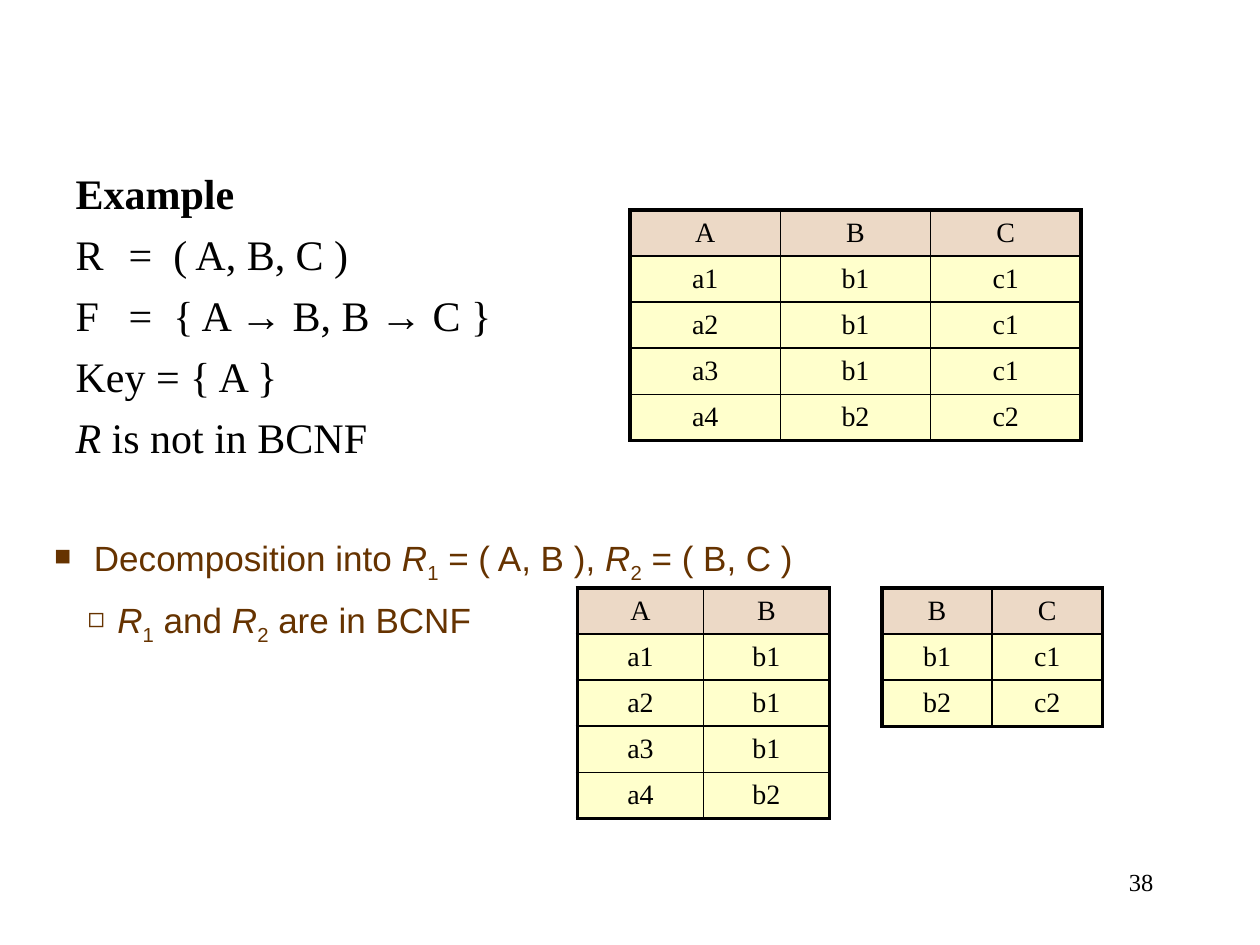
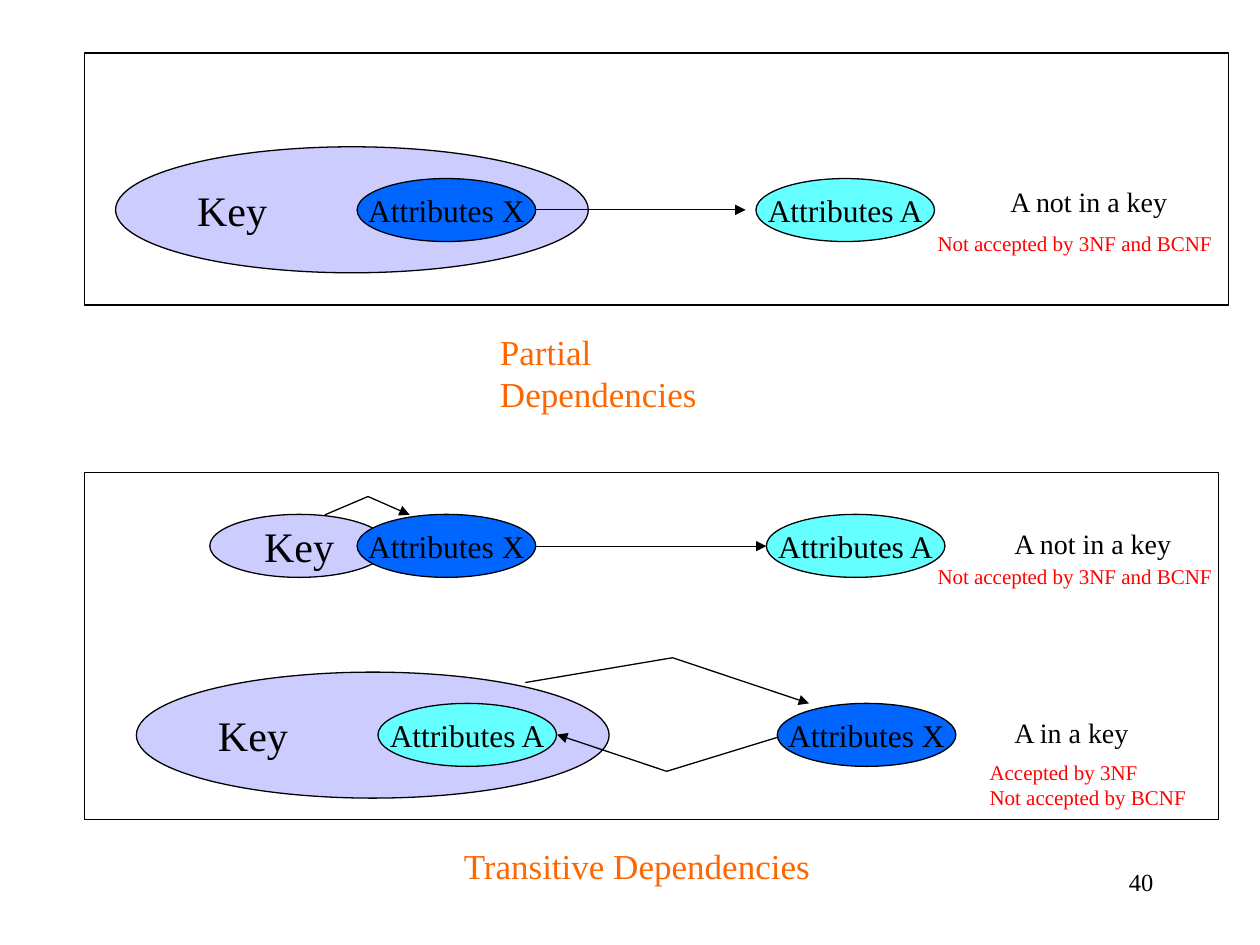
from dataclasses import dataclass

from lxml import etree
from pptx import Presentation
from pptx.dml.color import RGBColor
from pptx.enum.shapes import MSO_CONNECTOR, MSO_SHAPE
from pptx.enum.text import MSO_ANCHOR, MSO_AUTO_SIZE, PP_ALIGN
from pptx.oxml.ns import qn
from pptx.util import Cm, Pt

LEFT, MID, RIGHT = PP_ALIGN.LEFT, PP_ALIGN.CENTER, PP_ALIGN.RIGHT
TOP, CENTRE = MSO_ANCHOR.TOP, MSO_ANCHOR.MIDDLE
OVAL, RECT = MSO_SHAPE.OVAL, MSO_SHAPE.RECTANGLE
STRAIGHT = MSO_CONNECTOR.STRAIGHT
NO_FIT = MSO_AUTO_SIZE.NONE

SERIF, SANS = "Times New Roman", "Arial"
BLACK, BROWN, ORANGE, RED = "000000", "663300", "FF6600", "FF0000"
LILAC, BLUE, AQUA = "CCCCFF", "0066FF", "66FFFF"
HEAD, BODY = "ECD9C6", "FFFFCC"
THIN, THICK, HAIR = 1, 2.25, 0.75
ROW = 0.93


@dataclass
class Run:
    text: str
    bold: bool = False
    slant: bool = False
    sub: bool = False


@dataclass
class Line:
    runs: list
    left: float = 0
    hang: float = 0
    mark: str = ""
    level: int = 0


@dataclass
class Grid:
    x: float
    y: float
    col: float
    rows: list


@dataclass
class Bubble:
    x: float
    y: float
    text: str
    fill: str
    w: float = 3.6
    h: float = 1.27
    size: int = 18
    align: PP_ALIGN = MID


@dataclass
class Label:
    x: float
    y: float
    w: float
    h: float
    text: str
    size: int
    color: str = BLACK


@dataclass
class Path:
    points: list
    end: str = "tailEnd"


def paint(code: str) -> RGBColor:
    return RGBColor.from_string(code)


def add_sub(node, tag: str, **attrs):
    return etree.SubElement(node, qn(tag), attrs)


# Text
def set_mark(para, line: Line, color: str) -> None:
    props = para._p.get_or_add_pPr()
    props.set("marL", str(Cm(line.left)))
    props.set("indent", str(Cm(-line.hang)))
    if not line.mark:
        add_sub(props, "a:buNone")
        return
    add_sub(add_sub(props, "a:buClr"), "a:srgbClr", val=color)
    add_sub(props, "a:buSzPct", val="80000")
    add_sub(props, "a:buFont", typeface=SANS)
    add_sub(props, "a:buChar", char=line.mark)


def write(frame, text, size: float = 18, color: str = BLACK, font: str = SERIF,
          align=LEFT, anchor=TOP, wrap: bool = True, gap: float = 0,
          space: float = 1) -> None:
    """Fill a frame from a string, one paragraph a line, or a list of Line."""
    if isinstance(text, str):
        text = [Line([Run(part)]) for part in text.split("\n")]
    frame.word_wrap = wrap
    frame.vertical_anchor = anchor
    for num, line in enumerate(text):
        para = frame.add_paragraph() if num else frame.paragraphs[0]
        set_mark(para, line, color)
        para.level = line.level
        para.alignment = align
        para.line_spacing = space
        para.space_before = Pt(gap if num else 0)
        for item in line.runs:
            run = para.add_run()
            run.text = item.text
            run.font.name = font
            run.font.size = Pt(size)
            run.font.bold = item.bold
            run.font.italic = item.slant
            run.font.color.rgb = paint(color)
            if item.sub:
                run._r.get_or_add_rPr().set("baseline", "-25000")


def add_label(slide, item: Label, **style) -> None:
    box = slide.shapes.add_textbox(Cm(item.x), Cm(item.y), Cm(item.w), Cm(item.h))
    write(box.text_frame, item.text, size=item.size, color=item.color, **style)


def add_page(slide, num: int) -> None:
    add_label(slide, Label(18.2, 17.35, 5.3, 1.27, str(num), 14), align=RIGHT)


def fill_body(hold, x: float, y: float, w: float, h: float, lines: list,
              **style) -> None:
    hold.left, hold.top, hold.width, hold.height = Cm(x), Cm(y), Cm(w), Cm(h)
    hold.text_frame.auto_size = NO_FIT
    write(hold.text_frame, lines, **style)


# Tables
def set_edge(cell, side: str, width: float) -> None:
    edge = add_sub(cell._tc.get_or_add_tcPr(), "a:ln" + side, w=str(Pt(width)))
    add_sub(add_sub(edge, "a:solidFill"), "a:srgbClr", val=BLACK)


def add_grid(slide, grid: Grid) -> None:
    high, wide = len(grid.rows), len(grid.rows[0])
    table = slide.shapes.add_table(high, wide, Cm(grid.x), Cm(grid.y),
                                   Cm(grid.col * wide), Cm(ROW * high)).table
    table.first_row = table.horz_banding = False
    for r, row in enumerate(grid.rows):
        for c, word in enumerate(row):
            cell = table.cell(r, c)
            outer = {"L": c == 0, "R": c == wide - 1, "T": r == 0, "B": r == high - 1}
            for side, rim in outer.items():
                set_edge(cell, side, THICK if rim else THIN)
            cell.fill.solid()
            cell.fill.fore_color.rgb = paint(BODY if r else HEAD)
            cell.vertical_anchor = CENTRE
            write(cell.text_frame, word, size=16, align=MID, anchor=CENTRE)


# Shapes and arrows
def add_form(slide, kind, x: float, y: float, w: float, h: float, fill: str = ""):
    form = slide.shapes.add_shape(kind, Cm(x), Cm(y), Cm(w), Cm(h))
    form.shadow.inherit = False
    if fill:
        form.fill.solid()
        form.fill.fore_color.rgb = paint(fill)
    else:
        form.fill.background()
    form.line.color.rgb = paint(BLACK)
    form.line.width = Pt(HAIR)
    return form


def add_bubble(slide, item: Bubble) -> None:
    form = add_form(slide, OVAL, item.x, item.y, item.w, item.h, item.fill)
    write(form.text_frame, item.text, size=item.size, align=item.align,
          anchor=CENTRE, wrap=item.align == LEFT)


def add_path(slide, path: Path) -> None:
    spots = [(Cm(x), Cm(y)) for x, y in path.points]
    if len(spots) == 2:
        form = slide.shapes.add_connector(STRAIGHT, *spots[0], *spots[1])
    else:
        pen = slide.shapes.build_freeform(*spots[0])
        pen.add_line_segments(spots[1:], close=False)
        form = pen.convert_to_shape()
        form.fill.background()
    form.line.color.rgb = paint(BLACK)
    form.line.width = Pt(HAIR)
    add_sub(form.line._ln, "a:" + path.end, type="triangle")
    add_sub(form._element.spPr, "a:effectLst")


# Slide content
def rel(num: int) -> list:
    return [Run("R", slant=True), Run(str(num), sub=True)]


FACTS = [Line(runs, 1.07, 1.07) for runs in (
    [Run("Example", bold=True)],
    [Run("R\t=  ( A, B, C )")],
    [Run("F\t=  { A → B, B → C }")],
    [Run("Key = { A }")],
    [Run("R", slant=True), Run(" is not in BCNF")],
)]
SPLIT = [
    Line([Run("Decomposition into "), *rel(1), Run(" = ( A, B ), "),
          *rel(2), Run(" = ( B, C )")], 0.8, 0.8, "■"),
    Line([*rel(1), Run(" and "), *rel(2), Run(" are in BCNF")],
         1.27, 0.6, "◻", 1),
]
DATA = [("A", "B", "C"), ("a1", "b1", "c1"), ("a2", "b1", "c1"),
        ("a3", "b1", "c1"), ("a4", "b2", "c2")]
GRIDS = [
    Grid(12.7, 4.23, 3.03, DATA),
    Grid(11.64, 11.85, 2.54, [row[:2] for row in DATA]),
    Grid(17.78, 11.85, 2.22, [DATA[n][1:] for n in (0, 1, 4)]),
]

BIG = {"w": 9.53, "h": 2.54, "size": 24, "align": LEFT}
BUBBLES = [
    Bubble(2.33, 2.96, "Key", LILAC, **BIG),
    Bubble(7.2, 3.6, "Attributes X", BLUE),
    Bubble(15.24, 3.6, "Attributes A", AQUA),
    Bubble(4.23, 10.37, "Key", LILAC, size=24),
    Bubble(15.45, 10.37, "Attributes A", AQUA),
    Bubble(7.2, 10.37, "Attributes X", BLUE),
    Bubble(2.75, 13.55, "Key", LILAC, **BIG),
    Bubble(7.62, 14.18, "Attributes A", AQUA),
    Bubble(15.67, 14.18, "Attributes X", BLUE),
]
PATHS = [
    Path([(10.8, 4.23), (15.03, 4.23)]),
    Path([(6.55, 10.38), (7.42, 10.01), (8.26, 10.38)]),
    Path([(10.8, 11.01), (15.45, 11.01)]),
    Path([(11.23, 14.81), (13.44, 15.55), (15.69, 14.86)], "headEnd"),
    Path([(10.59, 13.76), (13.56, 13.26), (16.31, 14.18)]),
]
FRAMES = [(1.7, 1.07, 23.06, 5.08), (1.7, 9.53, 22.86, 6.99)]
REJECT = "Not accepted by 3NF and BCNF"
LABELS = [
    Label(9.83, 6.53, 5.6, 1.8, "Partial Dependencies", 20, ORANGE),
    Label(9.1, 16.9, 7.8, 1.1, "Transitive Dependencies", 20, ORANGE),
    Label(20.12, 3.6, 4, 0.93, "A not in a key", 16),
    Label(20.2, 10.5, 4, 0.93, "A not in a key", 16),
    Label(20.2, 14.3, 4, 0.93, "A in a key", 16),
    Label(18.65, 4.52, 6.4, 0.77, REJECT, 12, RED),
    Label(18.65, 11.23, 6.4, 0.77, REJECT, 12, RED),
    Label(19.7, 15.19, 4.8, 1.3, "Accepted by 3NF\nNot accepted by BCNF", 12, RED),
]


def draw_split(deck) -> None:
    slide = deck.slides.add_slide(deck.slide_layouts.get_by_name("Two Content"))
    title, facts, split = slide.placeholders
    title._element.getparent().remove(title._element)
    fill_body(facts, 1.27, 3.25, 11.3, 6.5, FACTS, size=24, gap=6)
    fill_body(split, 0.84, 10.7, 20.96, 2.3, SPLIT, size=20, color=BROWN,
              font=SANS, gap=11, space=0.9)
    for grid in GRIDS:
        add_grid(slide, grid)
    add_page(slide, 38)


def draw_kinds(deck) -> None:
    slide = deck.slides.add_slide(deck.slide_layouts.get_by_name("Blank"))
    for item in BUBBLES:
        add_bubble(slide, item)
    for path in PATHS:
        add_path(slide, path)
    for place in FRAMES:
        add_form(slide, RECT, *place)
    for label in LABELS:
        add_label(slide, label)
    add_page(slide, 40)


def main() -> None:
    deck = Presentation()
    deck.slide_width, deck.slide_height = Cm(25.4), Cm(19.05)
    draw_split(deck)
    draw_kinds(deck)
    deck.save("out.pptx")


if __name__ == "__main__":
    main()
